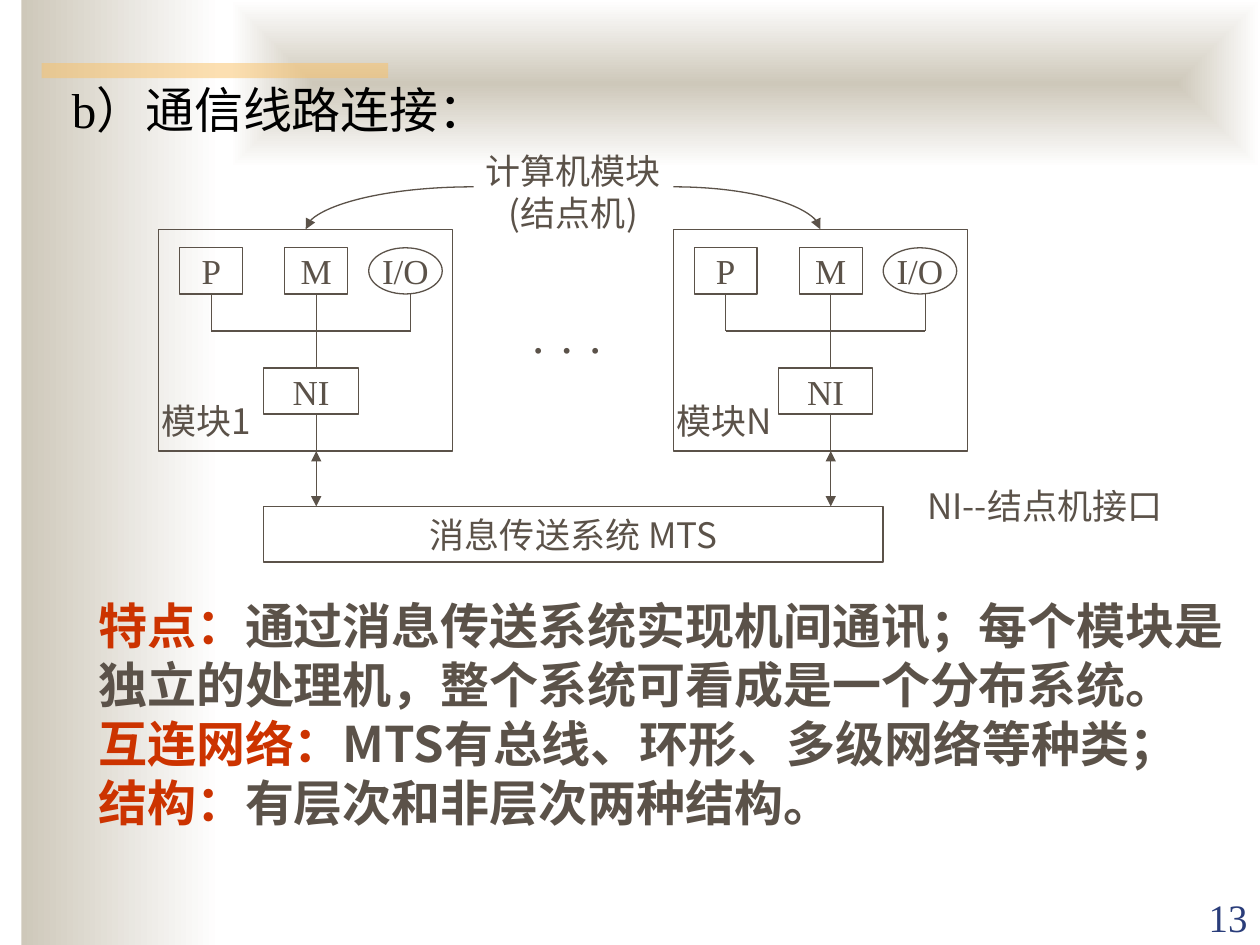
from lxml import etree
from pptx import Presentation
from pptx import util as u
from pptx.dml.color import RGBColor
from pptx.enum import dml, shapes, text
from pptx.oxml import ns

SANS, SERIF = "Noto Sans CJK SC", "Times New Roman"
INK, RED, STONE = "5B5249", "CC3300", "CEC8BA"
COL, ROW = 1 / 12, 1.76 / 24
LEFT, TOP = 1.26, 1.82
SHAPE, ALIGN = shapes.MSO_SHAPE, text.PP_ALIGN


def rgb(value):
    """Turn a hex string into a colour."""
    return RGBColor.from_string(value)


def sub(parent, tag, **attrs):
    """Append a DrawingML child element."""
    return etree.SubElement(parent, ns.qn(tag), **attrs)


def put(obj, **values):
    """Set attributes from a dict of format values."""
    for name, value in values.items():
        setattr(obj, name, value)


def grid(box, col, row, cols, rows):
    """Return the inch box of some grid cells, relative to a box's corner."""
    return box[0] + col * COL, box[1] + row * ROW, cols * COL, rows * ROW


def write(sp, paragraphs, size, align=ALIGN.LEFT, anchor="TOP", wrap=True, bold=False):
    """Fill a shape with paragraphs, each a list of (text, font, colour) runs."""
    tf = sp.text_frame
    put(tf, word_wrap=wrap, auto_size=text.MSO_AUTO_SIZE.NONE,
        vertical_anchor=getattr(text.MSO_ANCHOR, anchor),
        margin_left=u.Inches(0.1), margin_right=u.Inches(0.1),
        margin_top=u.Inches(0.05), margin_bottom=u.Inches(0.05))
    for i, runs in enumerate(paragraphs):
        p = tf.paragraphs[0] if i == 0 else tf.add_paragraph()
        put(p, alignment=align, space_before=u.Pt(0), line_spacing=u.Pt(size * 1.2))
        for words, face, colour in runs:
            r = p.add_run()
            r.text = words
            put(r.font, size=u.Pt(size), name=face, bold=bold)
            r.font.color.rgb = rgb(colour)
            sub(r.font._element, "a:ea", typeface=SANS)


def label(s, box, paragraphs, size=20, **form):
    """Add a text box."""
    write(s.shapes.add_textbox(*map(u.Inches, box)), paragraphs, size, **form)


def block(s, box, words="", face=SERIF, kind=SHAPE.RECTANGLE):
    """Add an outlined shape with centred text."""
    sp = s.shapes.add_shape(kind, *map(u.Inches, box))
    sp.shadow.inherit = False
    sp.fill.background()
    sp.line.color.rgb = rgb(INK)
    sp.line.width = u.Pt(0.75)
    if words:
        write(sp, [[(words, face, INK)]], 20, ALIGN.CENTER, "MIDDLE", False)


def wire(s, box, start, end, heads=(), curved=False):
    """Join two grid points, with arrowheads at the named ends."""
    kind = shapes.MSO_CONNECTOR.CURVE if curved else shapes.MSO_CONNECTOR.STRAIGHT
    points = grid(box, *start, 0, 0)[:2] + grid(box, *end, 0, 0)[:2]
    c = s.shapes.add_connector(kind, *map(u.Inches, points))
    c.line.color.rgb = rgb(INK)
    c.line.width = u.Pt(0.75)
    pr = c._element.spPr
    if curved:
        pr.find(ns.qn("a:prstGeom")).set("prst", "curvedConnector2")
    for head in heads:
        sub(c.line._get_or_add_ln(), head, type="triangle")
    sub(pr, "a:effectLst")


def band(s, box):
    """Add a plain rectangle without outline."""
    sp = s.shapes.add_shape(SHAPE.RECTANGLE, *map(u.Inches, box))
    sp.shadow.inherit = False
    sp.line.fill.background()
    return sp


def backdrop(s):
    """Draw the side gradient, the top gradient and the gold bar."""
    side, top = band(s, (0.17, 0, 1.58, 7.5)), band(s, (1.83, 0, 8.17, 1.33))
    for sp in (side, top):
        sp.fill.gradient()
        sp.fill.gradient_angle = 0
        for stop, colour, at in zip(sp.fill.gradient_stops, (STONE, "FFFFFF"), (0, 1)):
            stop.color.rgb = rgb(colour)
            stop.position = at
    grad = top._element.spPr.find(ns.qn("a:gradFill"))
    grad.remove(grad.find(ns.qn("a:lin")))
    sub(sub(grad, "a:path", path="rect"), "a:fillToRect",
        **dict.fromkeys("ltrb", "50000"))
    bar = band(s, (0.33, 0.5, 2.75, 0.12))
    bar.fill.solid()
    bar.fill.fore_color.rgb = rgb("FAC164")
    colour = bar._element.spPr.find(ns.qn("a:solidFill"))[0]
    sub(colour, "a:alpha", val="50000")


def module(s, box, name, width):
    """Draw one node computer and its link down to the message system."""
    block(s, grid(box, 0, 0, 28, 24))
    for words, col, cols, kind in (("P", 2, 6, SHAPE.RECTANGLE),
                                   ("M", 12, 6, SHAPE.RECTANGLE),
                                   ("I/O", 20, 7, SHAPE.OVAL)):
        block(s, grid(box, col, 2, cols, 5), words, kind=kind)
    block(s, grid(box, 10, 15, 9, 5), "NI")
    for start, end in (((5, 7), (5, 11)), ((15, 7), (15, 15)), ((24, 7), (24, 11)),
                       ((5, 11), (24, 11)), ((15, 20), (15, 24))):
        wire(s, box, start, end)
    wire(s, box, (15, 24), (15, 30), ("a:headEnd", "a:tailEnd"))
    label(s, grid(box, -0.9, 17.7, width, 6), [[(name, SANS, INK)]], wrap=False)


def diagram(s, box):
    """Draw both modules, the message system and the captions."""
    module(s, box, "模块1", 12)
    module(s, grid(box, 49, 0, 28, 24), "模块N", 12.3)
    block(s, grid(box, 10, 30, 59, 6), "消息传送系统 MTS", SANS)
    for start, end in ((30, 14), (49, 63)):
        wire(s, box, (start, -4.6), (end, 0), ("a:tailEnd",), curved=True)
    label(s, grid(box, 30, -9.3, 19, 10.5),
          [[("计算机模块", SANS, INK)], [("(结点机)", SANS, INK)]],
          align=ALIGN.CENTER, wrap=False)
    label(s, grid(box, 34.2, 9, 9.4, 7.8), [[("· · ·", SERIF, INK)]], 28, wrap=False)
    label(s, grid(box, 72, 27, 25.7, 6),
          [[("NI--", SANS, INK), ("结点机接口", SERIF, INK)]], wrap=False)


def placeholder(sp, box, paragraphs, **form):
    """Move a placeholder in front, without bullets, and fill it."""
    sp._element.getparent().append(sp._element)
    for name, value in zip(("left", "top", "width", "height"), box):
        setattr(sp, name, u.Inches(value))
    write(sp, paragraphs, 28, **form)
    for p in sp.text_frame.paragraphs:
        pr = p._p.get_or_add_pPr()
        pr.set("marL", "0")
        pr.set("indent", "0")
        sub(pr, "a:buNone")


def main():
    """Build and save the slide."""
    prs = Presentation()
    put(prs, slide_width=u.Inches(10), slide_height=u.Inches(7.5))
    s = prs.slides.add_slide(prs.slide_layouts[1])
    title, body = s.placeholders
    s.background.fill.solid()
    s.background.fill.fore_color.rgb = rgb("FFFFFF")
    backdrop(s)
    placeholder(title, (0.47, 0.58, 9.5, 0.57), [[("b）通信线路连接：", SERIF, "000000")]])
    diagram(s, (LEFT, TOP))
    points = (
        ("特点：", "通过消息传送系统实现机间通讯；每个模块是独立的处理机，整个系统可看成是一个分布系统。"),
        ("互连网络：", "MTS有总线、环形、多级网络等种类；"),
        ("结构：", "有层次和非层次两种结构。"))
    placeholder(body, (0.68, 4.68, 9.28, 1.97),
                [[(head, SANS, RED), (rest, SANS, INK)] for head, rest in points], bold=True)
    label(s, (9, 7.01, 1, 0.5), [[("13", SERIF, "2A3D7A")]], 22.2,
          align=ALIGN.RIGHT, anchor="BOTTOM")
    prs.save("out.pptx")


if __name__ == "__main__":
    main()
